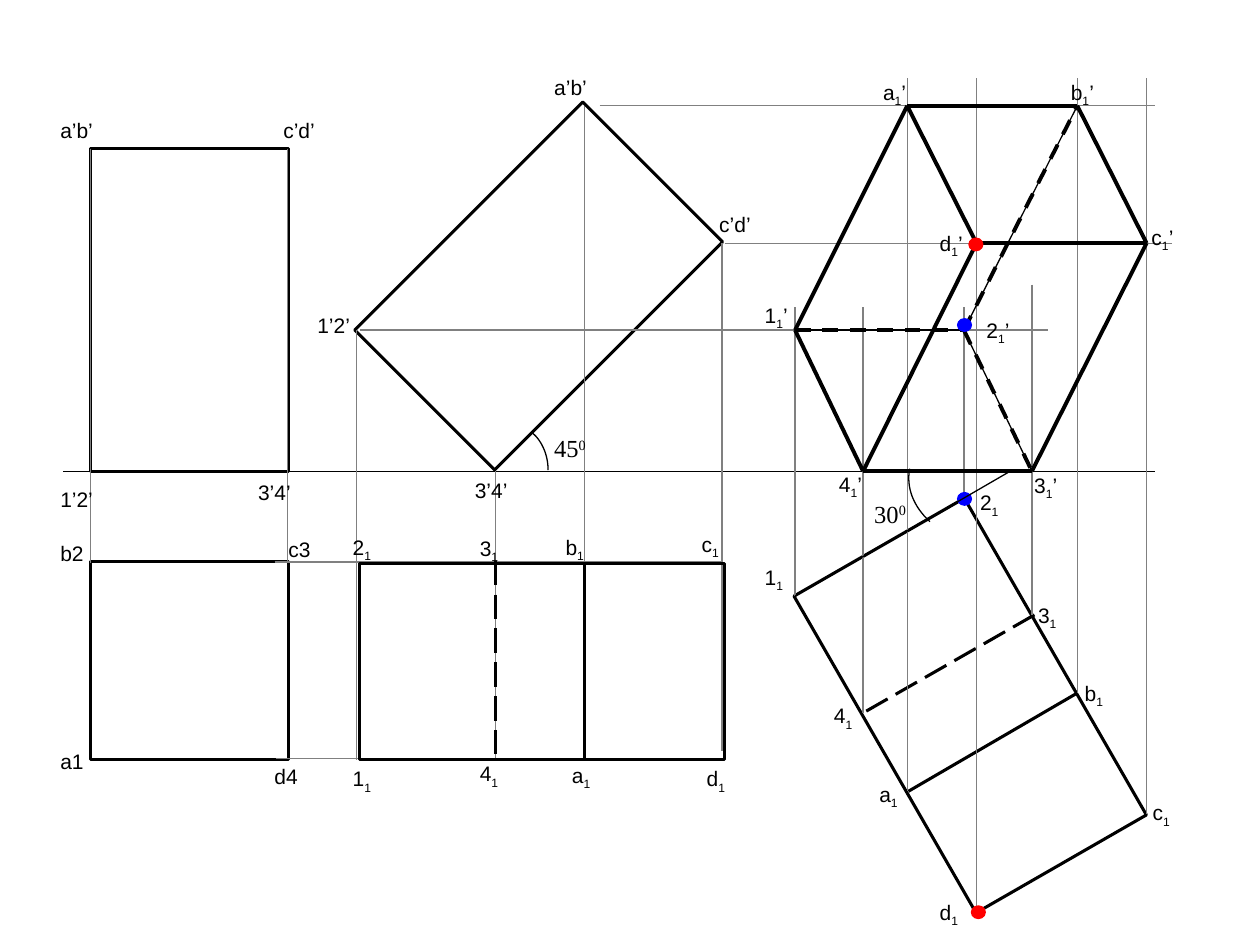
from pptx import Presentation
from pptx.dml.color import RGBColor
from pptx.enum.dml import MSO_LINE
from pptx.enum.shapes import MSO_CONNECTOR, MSO_SHAPE
from pptx.enum.text import MSO_AUTO_SIZE
from pptx.oxml.ns import qn
from pptx.util import Inches, Pt
from lxml.etree import SubElement

THEME = {
    "ink": "000000", "guide": "808080", "red": "FF0000", "blue": "0000FF",
    "thin": 0.75, "medium": 1.75, "thick": 2.25,
    "label": ("Arial", 12), "angle": ("Times New Roman", 14),
}

GROUND = (0.5, 3.74, 9.17, 3.74)
# left, top, width, height, rotation
VIEWS = [
    (0.72, 4.46, 1.57, 1.57, 0),
    (0.72, 1.18, 1.57, 2.56, 0),
    (3.49, 0.99, 1.57, 2.56, 45),
    (6.25, 4.82, 2.9, 1.56, 60.1),
]
TILTED_PLAN = (2.85, 4.47, 2.9, 1.56, 0)
TILTED_PLAN_EDGES = [((4.64, 4.47, 4.64, 6.02), None),
                     ((3.93, 4.45, 3.93, 6), MSO_LINE.LONG_DASH)]
TURNED_PLAN_EDGES = [((8.55, 5.5, 7.21, 6.28), None),
                     ((8.21, 4.88, 6.83, 5.67), MSO_LINE.LONG_DASH)]

# x, top, bottom
VERTICAL_GUIDES = [
    (0.72, 1.18, 4.47), (2.28, 1.18, 4.47), (2.83, 2.62, 6.03), (3.93, 3.74, 6.03),
    (4.64, 0.84, 6.02), (5.73, 1.93, 5.96), (6.31, 2.44, 4.73), (6.85, 2.44, 5.66),
    (7.2, 0.62, 6.28), (7.75, 0.62, 7.24), (7.65, 2.44, 3.96), (8.19, 2.26, 4.88),
    (8.55, 0.62, 5.5), (9.1, 0.62, 6.46),
]
# y, left, right
HORIZONTAL_GUIDES = [
    (4.46, 2.18, 5.73), (6.02, 2.19, 5.75), (0.84, 4.76, 9.17),
    (1.93, 5.75, 9.3), (2.62, 2.86, 8.32),
]

# Corners and edges of the prism seen from the front
CORNERS = {
    "a": (7.2, 0.84), "b": (8.55, 0.84), "c": (9.1, 1.93), "d": (7.75, 1.93),
    "1": (6.31, 2.62), "2": (7.65, 2.62), "3": (8.19, 3.74), "4": (6.85, 3.74),
}
HIDDEN_EDGES = ["23", "12", "2b"]
VISIBLE_EDGES = ["dc", "ad", "d4", "a1", "c3", "ab", "43", "14", "bc"]

DOTS = [(7.71, 7.19, "red"), (7.69, 1.89, "red"), (7.6, 3.91, "blue"), (7.6, 2.53, "blue")]
# Bezier control points of the angle arcs
ARCS = [
    [(4.23, 3.44), (4.3, 3.5), (4.35, 3.61), (4.35, 3.73)],
    [(7.22, 3.72), (7.19, 3.87), (7.25, 4.02), (7.38, 4.14)],
]
TURNED_EDGE_EXTENSION = (6.31, 4.73, 8, 3.75)

ANGLES = [("45", 4.3, 3.39), ("30", 6.84, 3.91)]
# text, left, top; "_" puts the next character below the line
LABELS = [
    ("a1", 0.38, 5.89), ("b2", 0.38, 4.24), ("c3", 2.19, 4.21), ("d4", 2.08, 6.01),
    ("a’b’", 0.38, 0.88), ("c’d’", 2.15, 0.88), ("1’2’", 0.38, 3.81), ("3’4’", 1.95, 3.76),
    ("a’b’", 4.3, 0.54), ("c’d’", 5.61, 1.63), ("1’2’", 2.42, 2.43), ("3’4’", 3.67, 3.74),
    ("a_1", 4.44, 6), ("b_1", 4.39, 4.19), ("c_1", 5.47, 4.17), ("d_1", 5.51, 6.03),
    ("1_1", 2.7, 6.03), ("2_1", 2.7, 4.19), ("3_1", 3.71, 4.2), ("4_1", 3.71, 5.99),
    ("a_1", 6.88, 6.15), ("b_1", 8.51, 5.35), ("c_1", 9.05, 6.3), ("d_1", 7.36, 7.09),
    ("1_1", 5.97, 4.43), ("2_1", 7.68, 3.84), ("3_1", 8.14, 4.73), ("4_1", 6.52, 5.53),
    ("a_1’", 6.91, 0.58), ("b_1’", 8.4, 0.58), ("c_1’", 9.04, 1.73), ("d_1’", 7.36, 1.78),
    ("1_1’", 5.97, 2.35), ("2_1’", 7.73, 2.47), ("3_1’", 8.11, 3.7), ("4_1’", 6.56, 3.69),
]


def color(name):
    return RGBColor.from_string(THEME[name])


def style_line(shape, ink, width, dash=None):
    shape.line.color.rgb = color(ink)
    shape.line.width = Pt(THEME[width])
    if dash is not None:
        shape.line.dash_style = dash


def add_line(shapes, ends, ink="ink", width="thin", dash=None):
    line = shapes.add_connector(MSO_CONNECTOR.STRAIGHT, *map(Inches, ends))
    style_line(line, ink, width, dash)
    SubElement(line._element.spPr, qn("a:effectLst"))


def add_view(shapes, left, top, width, height, rotation):
    box = shapes.add_shape(MSO_SHAPE.RECTANGLE, *map(Inches, (left, top, width, height)))
    box.rotation = rotation
    box.shadow.inherit = False
    box.fill.background()
    style_line(box, "ink", "medium")


def add_dot(shapes, left, top, ink):
    dot = shapes.add_shape(MSO_SHAPE.OVAL, *map(Inches, (left, top, 0.11, 0.1)))
    dot.shadow.inherit = False
    dot.fill.solid()
    dot.fill.fore_color.rgb = color(ink)
    style_line(dot, ink, "thin")


def add_arc(shapes, controls, steps=16):
    points = []
    for i in range(steps + 1):
        t = i / steps
        weights = ((1 - t) ** 3, 3 * t * (1 - t) ** 2, 3 * t * t * (1 - t), t ** 3)
        points.append([Inches(sum(w * c[axis] for w, c in zip(weights, controls)))
                       for axis in (0, 1)])
    builder = shapes.build_freeform(*points[0])
    builder.add_line_segments(points[1:], close=False)
    arc = builder.convert_to_shape()
    arc.shadow.inherit = False
    arc.fill.background()
    style_line(arc, "ink", "thin")


def add_text(shapes, parts, left, top, width, height, font, wrap):
    """Add one line of text; parts are (text, baseline shift in percent)."""
    tf = shapes.add_textbox(*map(Inches, (left, top, width, height))).text_frame
    tf.word_wrap = wrap
    tf.auto_size = MSO_AUTO_SIZE.SHAPE_TO_FIT_TEXT
    p = tf.paragraphs[0]
    p.font.name, size = THEME[font]
    p.font.size = Pt(size)
    p.font.color.rgb = color("ink")
    for text, shift in parts:
        r = p.add_run()
        r.text = text
        if shift:
            r._r.get_or_add_rPr().set("baseline", str(shift * 1000))


def label_parts(text):
    stem, _, rest = text.partition("_")
    return [part for part in ((stem, 0), (rest[:1], -25), (rest[1:], 0)) if part[0]]


def main():
    prs = Presentation()
    prs.slide_width, prs.slide_height = Inches(10), Inches(7.5)
    s = prs.slides.add_slide(prs.slide_layouts[6])
    shapes = s.shapes

    add_line(shapes, GROUND)
    for view in VIEWS:
        add_view(shapes, *view)
    for ends, dash in TURNED_PLAN_EDGES:
        add_line(shapes, ends, width="medium", dash=dash)
    for x, top, bottom in VERTICAL_GUIDES:
        add_line(shapes, (x, top, x, bottom), "guide")
    for y, left, right in HORIZONTAL_GUIDES:
        add_line(shapes, (left, y, right, y), "guide")

    plan = shapes.add_group_shape().shapes
    add_view(plan, *TILTED_PLAN)
    for ends, dash in TILTED_PLAN_EDGES:
        add_line(plan, ends, width="medium", dash=dash)

    for edges, width, dash in ((HIDDEN_EDGES + VISIBLE_EDGES, "thin", None),
                               (HIDDEN_EDGES, "thick", MSO_LINE.DASH),
                               (VISIBLE_EDGES, "thick", None)):
        for start, end in edges:
            add_line(shapes, CORNERS[start] + CORNERS[end], width=width, dash=dash)

    for dot in DOTS:
        add_dot(shapes, *dot)
    for controls in ARCS:
        add_arc(shapes, controls)
    add_line(shapes, TURNED_EDGE_EXTENSION)
    for degrees, left, top in ANGLES:
        add_text(shapes, [(degrees, 0), ("0", 30)], left, top, 0.46, 0.33, "angle", False)
    for text, left, top in LABELS:
        add_text(shapes, label_parts(text), left, top, 0.59 if "_" in text else 0.68, 0.3,
                 "label", True)
    prs.save("out.pptx")


if __name__ == "__main__":
    main()
